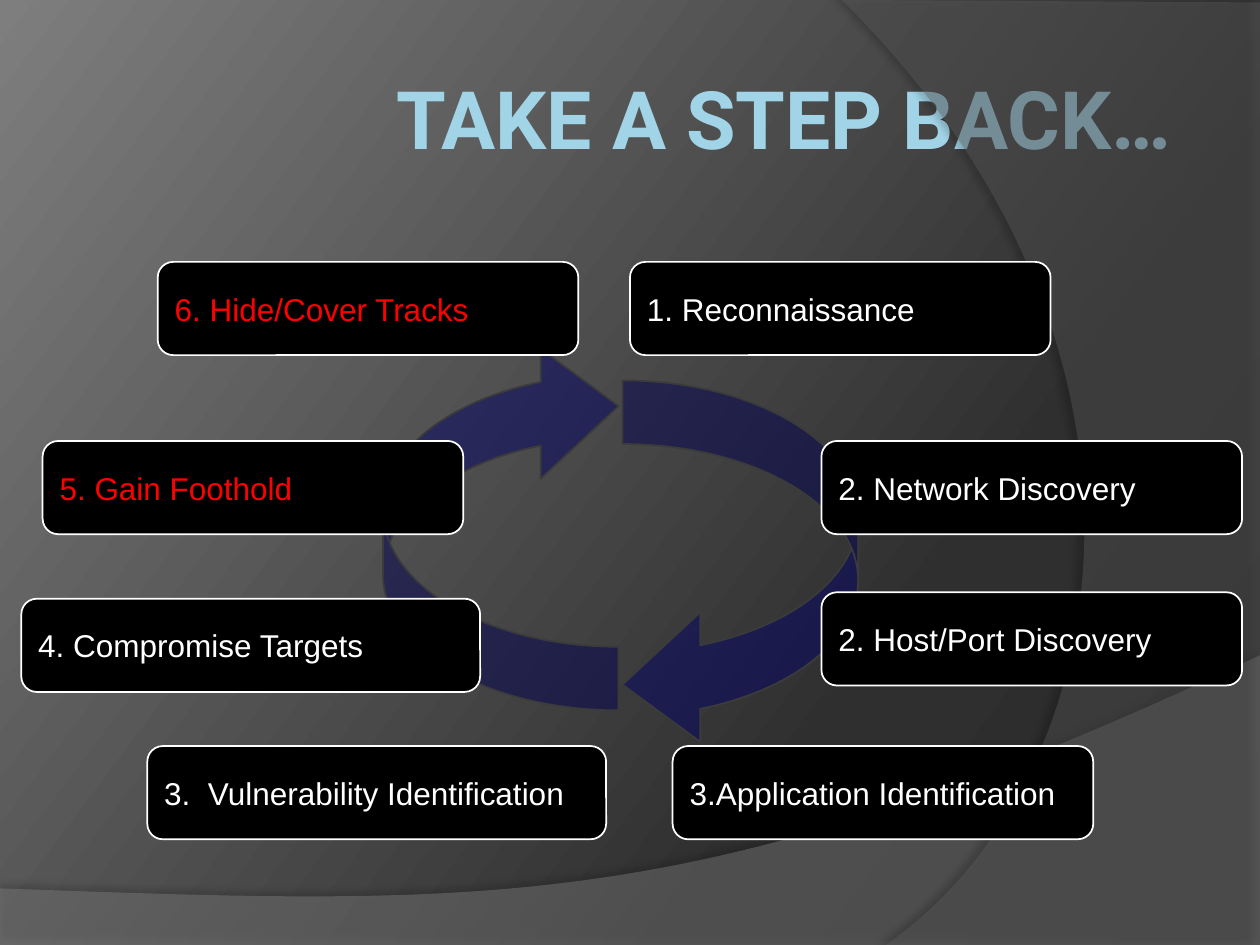
import copy
import dataclasses

import pptx
import pptx.dml.color
import pptx.enum.shapes
import pptx.enum.text
import pptx.oxml
import pptx.oxml.ns
import pptx.util

Cm = pptx.util.Cm
Pt = pptx.util.Pt
qn = pptx.oxml.ns.qn
rgb = pptx.dml.color.RGBColor.from_string
SHAPES = pptx.enum.shapes.MSO_SHAPE
TEXT = pptx.enum.text


@dataclasses.dataclass(frozen=True)
class Theme:
    backdrop: tuple = ((0, "282828"), (0.3, "2F2F2F"), (1, "7E7E7E"))
    lower_sweep: str = "7F7F7F"
    right_sweep: str = "5E5E5E"
    title: str = "A1D4E7"
    arrow: str = "000066"
    arrow_edge: str = "3B3B3B"
    box: str = "000000"
    text: str = "FFFFFF"
    highlight: str = "FF0000"
    title_font: str = "Roboto"
    step_font: str = "Arial"
    title_size: int = 46
    step_size: int = 18


theme = Theme()


def fill_solid(shape, colour, opacity=100):
    """Fill a shape without its default shadow, at an opacity in percent."""
    shape.shadow.inherit = False
    shape.fill.solid()
    shape.fill.fore_color.rgb = rgb(colour)
    if opacity < 100:
        colour_node = shape.element.spPr.find(qn("a:solidFill"))[0]
        pptx.oxml.ns  # namespace of the alpha child follows its parent
        alpha = colour_node.makeelement(qn("a:alpha"), {"val": str(opacity * 1000)})
        colour_node.append(alpha)


def curve(start, control_1, control_2, end, steps=60):
    """Points along a cubic curve, without its start."""
    points = []
    for step in range(1, steps + 1):
        t = step / steps
        weights = ((1 - t) ** 3, 3 * t * (1 - t) ** 2, 3 * t * t * (1 - t), t ** 3)
        corners = (start, control_1, control_2, end)
        points.append(tuple(sum(w * c[axis] for w, c in zip(weights, corners))
                            for axis in (0, 1)))
    return points


deck = pptx.Presentation()
deck.slide_width, deck.slide_height = Cm(25.4), Cm(19.05)
page = deck.slides.add_slide(deck.slide_layouts[5])

# Background gradient
backdrop = page.background.fill
backdrop.gradient()
stop_list = page.element.find(".//" + qn("a:gsLst"))
stop_list.append(copy.deepcopy(stop_list[0]))
for stop, (position, colour) in zip(backdrop.gradient_stops, theme.backdrop):
    stop.position = position
    stop.color.rgb = rgb(colour)
backdrop.gradient_angle = 143

# Translucent sweeps: points, colour, opacity, shadow opacity, distance, direction
sweeps = [
    ([(0, 17.91), (0, 19.05), (25.4, 19.05), (25.4, 13.21)]
     + curve((25.4, 13.21), (14.2, 18.52), (9.93, 18.26), (0, 17.91)),
     theme.lower_sweep, 45, 35, 3.5, 270),
    ([(25.4, 0.05), (25.4, 19.05), (17.86, 19.05)]
     + curve((17.86, 19.05), (22.63, 15.72), (24.05, 6.99), (16.97, 0)),
     theme.right_sweep, 40, 45, 4, 180),
]
for points, colour, opacity, shade, distance, direction in sweeps:
    outline = [(Cm(x), Cm(y)) for x, y in points]
    builder = page.shapes.build_freeform(*outline[0])
    builder.add_line_segments(outline[1:], close=True)
    sweep = builder.convert_to_shape()
    fill_solid(sweep, colour, opacity)
    sweep.line.fill.background()
    sweep.element.spPr.find(qn("a:effectLst")).append(pptx.oxml.parse_xml(
        f'<a:outerShdw {pptx.oxml.ns.nsdecls("a")} blurRad="{Pt(4)}" '
        f'dist="{Pt(distance)}" dir="{direction * 60000}" algn="ctr" rotWithShape="0">'
        f'<a:srgbClr val="000000"><a:alpha val="{shade * 1000}"/></a:srgbClr>'
        '</a:outerShdw>'))

# Title
title = page.shapes.title
title.left, title.top, title.width, title.height = Cm(1), Cm(1.27), Cm(22.73), Cm(3.38)
frame = title.text_frame
frame.text = "TAKE A STEP BACK…"
frame.auto_size = TEXT.MSO_AUTO_SIZE.NONE
frame.vertical_anchor = TEXT.MSO_ANCHOR.TOP
frame.margin_left = frame.margin_right = frame.margin_top = frame.margin_bottom = Cm(0.13)
para = frame.paragraphs[0]
para.alignment = TEXT.PP_ALIGN.RIGHT
para.font.name = theme.title_font
para.font.size = Pt(theme.title_size)
para.font.bold = True
para.font.color.rgb = rgb(theme.title)

# Cycle of two curved arrows
cycle = page.shapes.add_group_shape()
for left, top, rotation in ((7.72, 6.88, 180), (12.55, 7.67, 0)):
    arrow = cycle.shapes.add_shape(SHAPES.CURVED_LEFT_ARROW,
                                   Cm(left), Cm(top), Cm(4.75), Cm(7.44))
    arrow.rotation = rotation
    for index, value in enumerate((0.27, 0.55, 0.33)):
        arrow.adjustments[index] = value
    fill_solid(arrow, theme.arrow, 50)
    arrow.line.color.rgb = rgb(theme.arrow_edge)
    arrow.line.width = Pt(1)

# Step boxes: text, left, top, width, text colour
narrow, wide = 8.48, 9.25
steps = [
    ("1. Reconnaissance", 12.7, 5.28, narrow, theme.text),
    ("2. Network Discovery", 16.56, 8.89, narrow, theme.text),
    ("2. Host/Port Discovery", 16.56, 11.94, narrow, theme.text),
    ("3.  Vulnerability Identification", 2.97, 15.04, wide, theme.text),
    ("4. Compromise Targets", 0.43, 12.07, wide, theme.text),
    ("3.Application Identification", 13.56, 15.04, narrow, theme.text),
    ("6. Hide/Cover Tracks", 3.18, 5.28, narrow, theme.highlight),
    ("5. Gain Foothold", 0.86, 8.89, narrow, theme.highlight),
]
for text, left, top, width, colour in steps:
    box = page.shapes.add_shape(SHAPES.ROUNDED_RECTANGLE,
                                Cm(left), Cm(top), Cm(width), Cm(1.88))
    fill_solid(box, theme.box)
    box.line.color.rgb = rgb(theme.text)
    box.line.width = Pt(1)
    frame = box.text_frame
    frame.text = text
    frame.word_wrap = False
    frame.vertical_anchor = TEXT.MSO_ANCHOR.MIDDLE
    para = frame.paragraphs[0]
    para.alignment = TEXT.PP_ALIGN.LEFT
    para.font.name = theme.step_font
    para.font.size = Pt(theme.step_size)
    para.font.color.rgb = rgb(colour)

deck.save("out.pptx")
